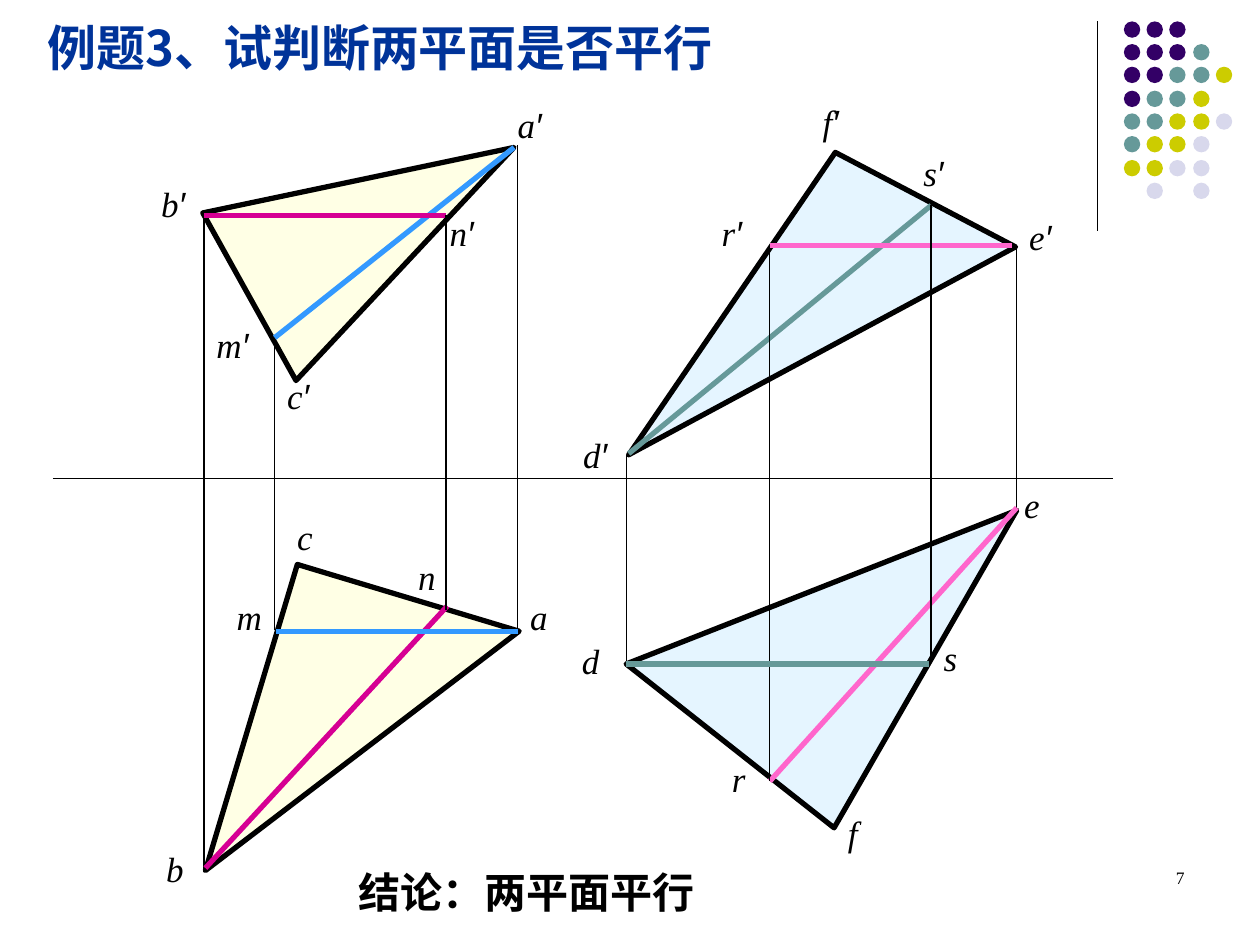
from lxml.etree import SubElement
from pptx import Presentation
from pptx.dml.color import RGBColor
from pptx.enum.shapes import MSO_CONNECTOR, MSO_SHAPE
from pptx.enum.text import PP_ALIGN
from pptx.oxml.ns import qn
from pptx.util import Pt

PX = 9144  # 100 px to the inch

BLACK = RGBColor(0x00, 0x00, 0x00)
NAVY = RGBColor(0x00, 0x33, 0x99)
PLUM = RGBColor(0x33, 0x00, 0x66)
TEAL = RGBColor(0x66, 0x99, 0x99)
LIME = RGBColor(0xCC, 0xCC, 0x00)
LILAC = RGBColor(0xD8, 0xD8, 0xEC)
CREAM = RGBColor(0xFF, 0xFF, 0xCC)
ICE = RGBColor(0xCC, 0xEC, 0xFF)
PINK = RGBColor(0xFF, 0x66, 0xCC)
ROSE = RGBColor(0xD6, 0x00, 0x93)
BLUE = RGBColor(0x33, 0x99, 0xFF)

HAN, SERIF, SANS = "Noto Sans CJK SC", "Times New Roman", "Arial"
TITLE = {"size": Pt(28), "bold": True, "name": HAN}
RESULT = {"size": Pt(24), "bold": True, "name": HAN}
NUMBER = {"size": Pt(10), "name": SERIF}
LETTER = {"size": Pt(20), "italic": True, "name": SERIF}
PRIME = {**LETTER, "name": SANS}
THIN, BOLD = Pt(0.75), Pt(3)

DOTS = ["PPP", "PPPT", "PPTTY", "PTTY", "TTYYL", "TYYL", "YYLL", " L L"]
INKS = {"P": PLUM, "T": TEAL, "Y": LIME, "L": LILAC}

# Each plane: points are relative to its box; black lines are projectors
LEFT = {
    "fill": CREAM,
    "faces": [
        [(61, 119), (308, 67), (135, 252)],
        [(63, 641), (136, 398), (312, 451)],
    ],
    "lines": [
        (62, 121, 62, 642, BLACK),
        (311, 65, 311, 450, BLACK),
        (63, 639, 255, 431, ROSE),
        (308, 67, 118, 218, BLUE),
        (118, 218, 118, 450, BLACK),
        (62, 121, 254, 121, ROSE),
        (119, 451, 311, 451, BLUE),
        (254, 121, 254, 434, BLACK),
    ],
    "marks": [
        ("c′", 118, 242, 85), ("a′", 301, 27, 70), ("a", 311, 418, 38),
        ("c", 126, 354, 38), ("b′", 18, 90, 64), ("b", 22, 618, 83),
        ("m′", 62, 202, 64), ("n′", 247, 113, 64), ("m", 78, 418, 64),
        ("n", 222, 386, 64),
    ],
}
RIGHT = {
    "fill": ICE,
    "faces": [
        [(47, 477), (357, 355), (212, 607)],
        [(49, 311), (213, 71), (356, 146)],
    ],
    "lines": [
        (357, 356, 357, 146, BLACK),
        (47, 311, 47, 477, BLACK),
        (161, 570, 357, 353, PINK),
        (289, 113, 49, 310, TEAL),
        (353, 145, 161, 145, PINK),
        (161, 145, 161, 570, BLACK),
        (47, 477, 287, 477, TEAL),
        (289, 474, 289, 113, BLACK),
    ],
    "marks": [
        ("f′", 193, 25, 87), ("e′", 357, 116, 60), ("d′", 3, 289, 75),
        ("e", 353, 329, 42), ("d", 2, 453, 42), ("f", 213, 589, 42),
        ("r′", 113, 113, 64), ("r", 121, 546, 64), ("s", 289, 450, 64),
        ("s′", 273, 65, 64),
    ],
}


def add_text(slide, box, runs, color=BLACK, align=PP_ALIGN.LEFT, wrap=True):
    frame = slide.shapes.add_textbox(*(n * PX for n in box)).text_frame
    frame.word_wrap = wrap
    para = frame.paragraphs[0]
    para.alignment = align
    for text, style in runs:
        run = para.add_run()
        run.text = text
        run.font.color.rgb = color
        for key, value in style.items():
            setattr(run.font, key, value)
        SubElement(run.font._element, qn("a:ea"), typeface=style["name"])


def add_line(slide, x1, y1, x2, y2, color=BLACK):
    ends = (n * PX for n in (x1, y1, x2, y2))
    line = slide.shapes.add_connector(MSO_CONNECTOR.STRAIGHT, *ends)
    line.line.color.rgb = color
    line.line.width = THIN if color == BLACK else BOLD
    SubElement(line._element.spPr, qn("a:effectLst"))


def add_face(slide, x, y, points, color):
    pen = slide.shapes.build_freeform(*points[0], scale=PX)
    pen.add_line_segments(points[1:], close=True)
    face = pen.convert_to_shape(x * PX, y * PX)
    face.shadow.inherit = False
    face.fill.solid()
    face.fill.fore_color.rgb = color
    tint = face._element.spPr.find(qn("a:solidFill"))[0]
    SubElement(tint, qn("a:alpha"), val="50000")
    face.line.color.rgb = BLACK
    face.line.width = BOLD


def add_plane(slide, x, y, plane):
    for points in plane["faces"]:
        add_face(slide, x, y, points, plane["fill"])
    for x1, y1, x2, y2, color in plane["lines"]:
        add_line(slide, x + x1, y + y1, x + x2, y + y2, color)
    for mark, left, top, width in plane["marks"]:
        runs = [(c, PRIME if c == "′" else LETTER) for c in mark]
        add_text(slide, (x + left, y + top, width, 44), runs)


def add_dots(slide, x, y):
    add_line(slide, x, y, x, y + 166)
    for row, inks in enumerate(DOTS):
        for col, ink in enumerate(inks):
            if ink not in INKS:
                continue
            box = (x + 21 + 55 * col // 3, y + 55 * row // 3, 13, 13)
            dot = slide.shapes.add_shape(MSO_SHAPE.OVAL, *(n * PX for n in box))
            dot.shadow.inherit = False
            dot.fill.solid()
            dot.fill.fore_color.rgb = INKS[ink]
            dot.line.fill.background()


def main():
    deck = Presentation()
    deck.slide_width, deck.slide_height = 1000 * PX, 750 * PX
    slide = deck.slides.add_slide(deck.slide_layouts[6])

    # Corner ornament
    add_dots(slide, 871, 17)

    # Projection axis and the two planes
    add_line(slide, 42, 380, 883, 380)
    add_plane(slide, 450, 50, RIGHT)
    add_plane(slide, 100, 50, LEFT)

    # Conclusion, title and page number
    add_text(slide, (275, 683, 385, 50), [("结论：两平面平行", RESULT)])
    add_text(slide, (28, 9, 567, 57), [("例题3、试判断两平面是否平行", TITLE)],
             NAVY, wrap=False)
    add_text(slide, (717, 683, 233, 50), [("7", NUMBER)], align=PP_ALIGN.RIGHT)

    deck.save("out.pptx")


if __name__ == "__main__":
    main()
